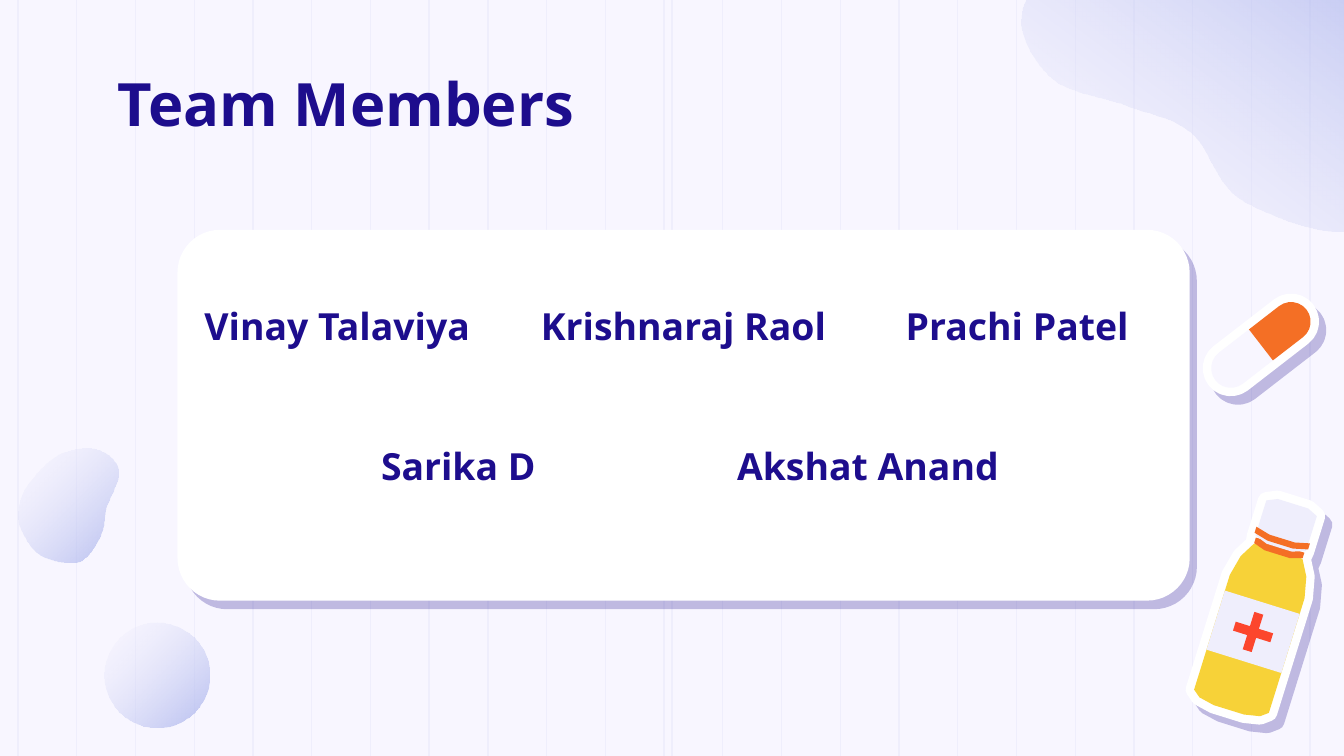
import math
from dataclasses import dataclass

from lxml import etree
from pptx import Presentation
from pptx import util as u
from pptx.dml.color import RGBColor
from pptx.enum import shapes, text
from pptx.oxml import ns

NAVY = RGBColor(0x1D, 0x0D, 0x8D)
WHITE = RGBColor(0xFF, 0xFF, 0xFF)
PAPER = RGBColor(0xF8, 0xF6, 0xFF)
LILAC = RGBColor(0xEF, 0xEE, 0xFC)
PERIWINKLE = RGBColor(0x9B, 0xA6, 0xE9)
YELLOW = RGBColor(0xF7, 0xD2, 0x38)
ORANGE = RGBColor(0xF4, 0x6F, 0x25)
RED = RGBColor(0xFC, 0x46, 0x2D)

FONT = "Open Sans"
KIND = shapes.MSO_SHAPE
Points = list[tuple[float, float]]


@dataclass
class Axis:
    """The middle line of a tilted object, around its centre in cm."""
    x: float
    y: float
    tilt: float

    def at(self, along: float) -> tuple[float, float]:
        turn = math.radians(self.tilt)
        return self.x - along * math.sin(turn), self.y + along * math.cos(turn)


@dataclass
class Part:
    """One symmetric layer: its right-hand side, from top to bottom."""
    fill: RGBColor
    side: Points


@dataclass
class Label:
    words: str
    left: float
    top: float
    width: float = 5.69
    height: float = 0.94
    size: int = 20
    align: text.PP_ALIGN = text.PP_ALIGN.CENTER
    anchor: text.MSO_ANCHOR = text.MSO_ANCHOR.MIDDLE


CORNER_BLOB: Points = [(20, -0.4), (19.3, 0.4), (19.9, 1.5), (21.3, 2), (22.5, 2.5),
                       (23.5, 3.8), (25.8, 4.3), (27.2, 2.2), (26, 0.2), (23, -0.6)]
LEFT_BLOB: Points = [(0.8, 10.5), (1.5, 10.6), (1.9, 10.1), (2, 9.6), (2.24, 8.9),
                     (1.83, 8.5), (1.1, 8.6), (0.5, 9.2), (0.35, 9.7), (0.45, 10.1)]

BOTTLE = Axis(23.83, 11.47, 17.3)
BOTTLE_PARTS = [
    Part(WHITE, [(0.3, -2.04), (0.5, -1.95), (0.5, -1.25), (0.48, -1.1), (0.65, -0.8),
                 (0.74, -0.4), (0.74, 1.87), (0.6, 1.98), (0.3, 2.04)]),
    Part(YELLOW, [(0.48, -1.1), (0.65, -0.8), (0.74, -0.4), (0.74, 1.87), (0.6, 1.98), (0.3, 2.04)]),
    Part(ORANGE, [(0.48, -1.22), (0.48, -1.11), (0.25, -1.04)]),
    Part(LILAC, [(0.74, -0.09), (0.74, 1.08)]),
    Part(LILAC, [(0.3, -2.04), (0.5, -1.95), (0.5, -1.26), (0.25, -1.17)]),
    Part(ORANGE, [(0.25, -1.35), (0.53, -1.42), (0.53, -1.3), (0.25, -1.23)]),
]
PILL = Axis(23.83, 6.52, 52.3)

LABELS = [
    Label("Team Members", 1.98, 1.02, 21.44, 1.96, 32, text.PP_ALIGN.LEFT, text.MSO_ANCHOR.TOP),
    Label("Vinay Talaviya", 3.53, 5.69),
    Label("Krishnaraj Raol", 9.86, 5.69, 6.12),
    Label("Prachi Patel", 16.38, 5.69),
    Label("Sarika D", 5.82, 8.33),
    Label("Akshat Anand", 13.56, 8.33),
]


def smooth(knots: Points, steps: int = 12) -> Points:
    """Run a closed Catmull-Rom curve through the knots."""
    curve = []
    for i in range(len(knots)):
        a, b, c, d = (knots[(i + k) % len(knots)] for k in range(4))
        for step in range(steps):
            t = step / steps
            curve.append(tuple(
                q + t / 2 * (r - p + t * (2 * p - 5 * q + 4 * r - v + t * (3 * (q - r) + v - p)))
                for p, q, r, v in zip(a, b, c, d)))
    return curve


def add_outline(s, points: Points):
    start, *rest = [(u.Cm(x), u.Cm(y)) for x, y in points]
    builder = s.shapes.build_freeform(*start)
    builder.add_line_segments(rest, close=True)
    return builder.convert_to_shape()


def add_preset(s, kind: shapes.MSO_SHAPE, x: float, y: float, width: float, height: float):
    """Add a preset shape around its centre."""
    return s.shapes.add_shape(kind, *map(u.Cm, (x - width / 2, y - height / 2, width, height)))


def paint(sp, fill: RGBColor) -> None:
    sp.fill.solid()
    sp.fill.fore_color.rgb = fill
    sp.line.fill.background()
    sp.shadow.inherit = False


def add_alpha(color, percent: int) -> None:
    etree.SubElement(color, ns.qn("a:alpha"), val=str(percent * 1000))


def paint_haze(sp, angle: float = 315) -> None:
    """Fill with the see-through lilac gradient."""
    paint(sp, PAPER)
    sp.fill.gradient()
    sp.fill.gradient_angle = angle
    for stop, rgb, at in zip(sp.fill.gradient_stops, (PAPER, PERIWINKLE), (0, 1)):
        stop.color.rgb = rgb
        stop.position = at
    for color, percent in zip(sp._element.spPr.iter(ns.qn("a:srgbClr")), (20, 70)):
        add_alpha(color, percent)


def cast_shadow(sp, distance: float = 6) -> None:
    effects = sp._element.spPr.find(ns.qn("a:effectLst"))
    shadow = etree.SubElement(effects, ns.qn("a:outerShdw"), blurRad="0", dist=str(u.Pt(distance)),
                              dir=str(50 * 60000), algn="bl", rotWithShape="0")
    add_alpha(etree.SubElement(shadow, ns.qn("a:srgbClr"), val=str(NAVY)), 25)


def add_rim(sp) -> None:
    sp.line.color.rgb = WHITE
    sp.line.width = u.Pt(9)
    cast_shadow(sp)


def add_bottle(s) -> None:
    drawn = []
    for part in BOTTLE_PARTS:
        heights = [y for _, y in part.side]
        middle = (min(heights) + max(heights)) / 2
        x, y = BOTTLE.at(middle)
        both = part.side + [(-dx, dy) for dx, dy in reversed(part.side)]
        sp = add_outline(s, [(x + dx, y + dy - middle) for dx, dy in both])
        paint(sp, part.fill)
        drawn.append(sp)
    add_rim(drawn[0])
    cross = add_preset(s, KIND.CROSS, *BOTTLE.at(0.5), 0.74, 0.74)
    cross.adjustments[0] = 0.38
    paint(cross, RED)
    drawn.append(cross)
    for sp in drawn:
        sp.rotation = BOTTLE.tilt
    s.shapes.add_group_shape(drawn)


def add_pill(s) -> None:
    width, length = 0.74, 2.18
    body = add_preset(s, KIND.ROUNDED_RECTANGLE, *PILL.at(0), width, length)
    body.adjustments[0] = 0.5
    body.rotation = PILL.tilt
    paint(body, WHITE)
    add_rim(body)
    drawn = [body]
    for fill, side, turn in ((PAPER, 1, 180), (ORANGE, -1, 0)):
        half = add_preset(s, KIND.ROUND_2_SAME_RECTANGLE, *PILL.at(side * length / 4), width, length / 2)
        half.adjustments[0] = 0.5
        half.rotation = PILL.tilt + turn
        paint(half, fill)
        drawn.append(half)
    s.shapes.add_group_shape(drawn)


def add_stripe(s, x: float, height: int) -> None:
    line = s.shapes.add_connector(shapes.MSO_CONNECTOR.STRAIGHT, u.Cm(x), 0, u.Cm(x), height)
    line.line.color.rgb = LILAC
    line.line.width = u.Pt(0.75)
    etree.SubElement(line._element.spPr, ns.qn("a:effectLst"))


def add_label(s, label: Label) -> None:
    box = s.shapes.add_textbox(*map(u.Cm, (label.left, label.top, label.width, label.height)))
    tf = box.text_frame
    tf.word_wrap = True
    tf.vertical_anchor = label.anchor
    tf.margin_left = tf.margin_right = tf.margin_top = tf.margin_bottom = u.Cm(0.25)
    p = tf.paragraphs[0]
    p.alignment = label.align
    r = p.add_run()
    r.text = label.words
    r.font.name, r.font.size, r.font.bold = FONT, u.Pt(label.size), True
    r.font.color.rgb = NAVY


def main() -> None:
    prs = Presentation()
    prs.slide_width, prs.slide_height = u.Cm(25.4), u.Cm(14.29)
    s = prs.slides.add_slide(prs.slide_layouts[6])
    s.background.fill.solid()
    s.background.fill.fore_color.rgb = PAPER
    for x in [0.34 + 1.11 * i for i in range(23)] + [12.7]:
        add_stripe(s, x, prs.slide_height)
    paint_haze(add_outline(s, smooth(CORNER_BLOB)), 53.5)
    paint_haze(add_outline(s, smooth(LEFT_BLOB)))
    paint_haze(add_preset(s, KIND.OVAL, 2.97, 12.76, 1.98, 1.98))
    card = add_preset(s, KIND.ROUNDED_RECTANGLE, 12.92, 7.85, 19.13, 7.01)
    card.adjustments[0] = 0.115
    paint(card, WHITE)
    cast_shadow(card)
    for label in LABELS:
        add_label(s, label)
    add_bottle(s)
    add_pill(s)
    prs.save("out.pptx")


if __name__ == "__main__":
    main()
